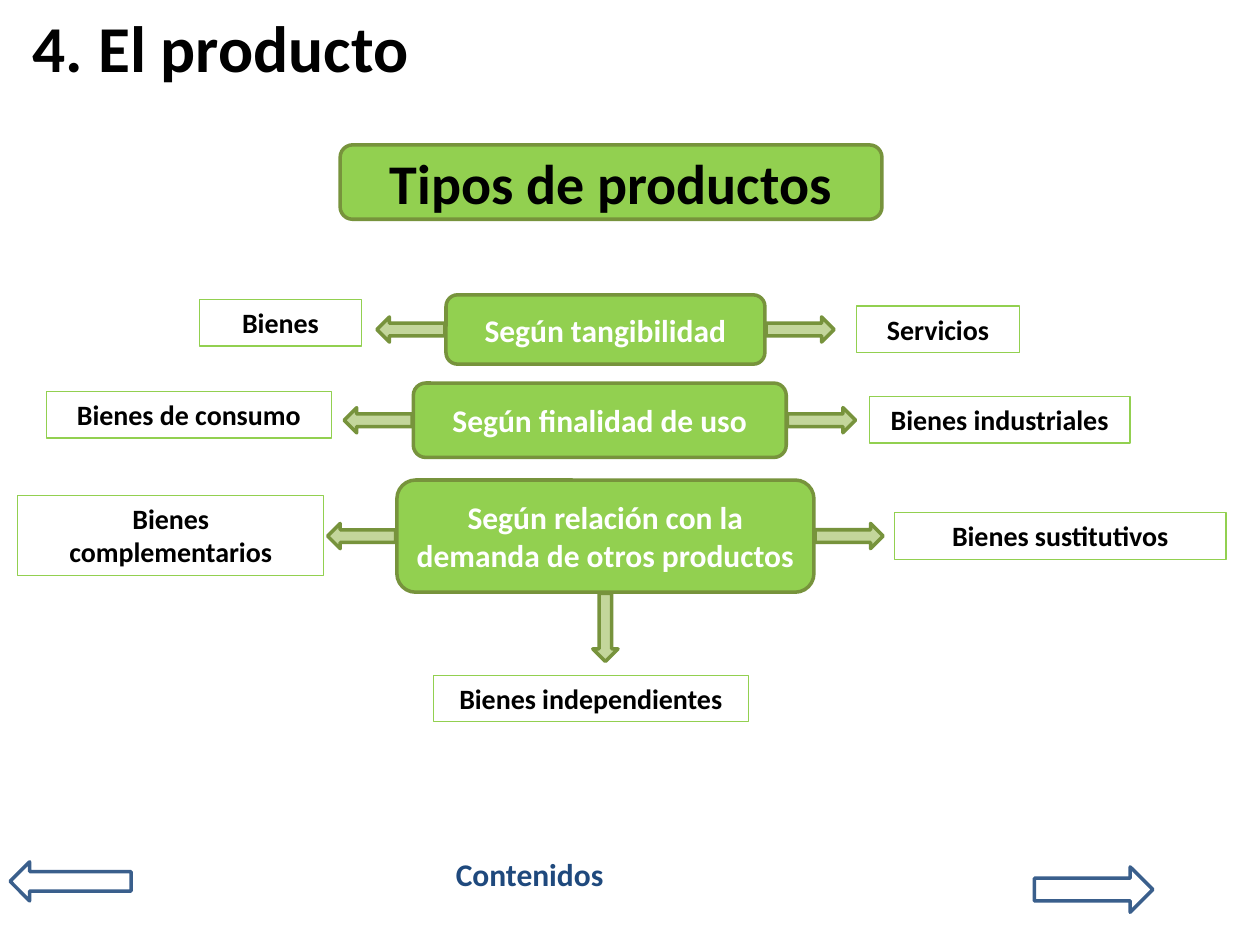
from pptx import Presentation
from pptx.dml.color import RGBColor
from pptx.enum.shapes import MSO_SHAPE
from pptx.enum.text import MSO_ANCHOR, PP_ALIGN
from pptx.util import Pt

FONT = "Calibri"
GREEN, DARK_GREEN, PALE_GREEN = "92D050", "77933C", "C3D69B"
BLUE, NAVY, BLACK, WHITE = "3A5F8C", "1F497D", "000000", "FFFFFF"
ARROW_LENGTH, ARROW_WIDTH, ARROW_GAP = 38.9, 14.4, 0.7

# Boxes are (left, top, width, height) in points.
TITLE = ("4. El producto", (11.5, 3.6, 648, 45.4))
HEADING = ("Tipos de productos", (194.4, 82.8, 309.6, 42.5))
FOOTER = ("Contenidos", (253.4, 485.3, 103.7, 28.8))
# Each criterion: text, box, directions of its arrows
CRITERIA = [
    ("Según tangibilidad", (254.9, 168.5, 182.2, 39.6), (0, 180)),
    ("Según finalidad de uso", (236.2, 218.9, 213.1, 42.5), (0, 180)),
    ("Según relación con la demanda de otros productos",
     (226.8, 274.3, 238.3, 64.1), (0, 90, 180)),
]
TYPES = [
    ("Bienes", (113.8, 171.2, 92.9, 26.6)),
    ("Servicios", (489.6, 174.8, 92.9, 26.6)),
    ("Bienes de consumo", (26.6, 223.7, 162.7, 26.6)),
    ("Bienes industriales", (496.8, 226.6, 149, 26.6)),
    ("Bienes complementarios", (10.1, 283, 175, 46.1)),
    ("Bienes sustitutivos", (511.2, 293, 189.4, 26.6)),
    ("Bienes independientes", (247.7, 385.9, 180, 26.6)),
]
NAVIGATION = [
    (MSO_SHAPE.LEFT_ARROW, (5.8, 492.5, 69.1, 22.3)),
    (MSO_SHAPE.RIGHT_ARROW, (591.1, 495.4, 67.7, 25.9)),
]


def rgb(hex_color):
    return RGBColor.from_string(hex_color)


def write(shape, text, size, color, align=PP_ALIGN.CENTER, anchor=MSO_ANCHOR.MIDDLE):
    tf = shape.text_frame
    tf.text = text
    tf.word_wrap = True
    tf.vertical_anchor = anchor
    p = tf.paragraphs[0]
    p.alignment = align
    font = p.runs[0].font
    font.name, font.size, font.bold = FONT, Pt(size), True
    font.color.rgb = rgb(color)


def add_box(slide, kind, box, line, fill=None, line_width=2):
    sp = slide.shapes.add_shape(kind, *map(Pt, box))
    sp.shadow.inherit = False
    if fill:
        sp.fill.solid()
        sp.fill.fore_color.rgb = rgb(fill)
    else:
        sp.fill.background()
    sp.line.color.rgb = rgb(line)
    sp.line.width = Pt(line_width)
    return sp


def add_process(slide, text, box, size, color):
    sp = add_box(slide, MSO_SHAPE.FLOWCHART_ALTERNATE_PROCESS, box, DARK_GREEN, GREEN)
    write(sp, text, size, color)


def add_arrow(slide, box, angle):
    """Put an arrow outside the box, centred on the side it points away from."""
    left, top, width, height = box
    dx, dy = {0: (1, 0), 90: (0, 1), 180: (-1, 0)}[angle]
    reach = ARROW_LENGTH / 2 + ARROW_GAP
    cx = left + width / 2 + dx * (width / 2 + reach)
    cy = top + height / 2 + dy * (height / 2 + reach)
    place = (cx - ARROW_LENGTH / 2, cy - ARROW_WIDTH / 2, ARROW_LENGTH, ARROW_WIDTH)
    sp = add_box(slide, MSO_SHAPE.RIGHT_ARROW, place, DARK_GREEN, PALE_GREEN)
    sp.rotation = angle


def main():
    prs = Presentation()
    prs.slide_width, prs.slide_height = Pt(720), Pt(540)
    s = prs.slides.add_slide(prs.slide_layouts[5])

    text, box = TITLE
    title = s.shapes.title
    title.left, title.top, title.width, title.height = map(Pt, box)
    write(title, text, 37.4, BLACK, PP_ALIGN.LEFT)

    text, box = FOOTER
    write(s.shapes.add_textbox(*map(Pt, box)), text, 18, NAVY,
          PP_ALIGN.LEFT, MSO_ANCHOR.TOP)

    for kind, box in NAVIGATION:
        add_box(s, kind, box, BLUE)

    add_process(s, *HEADING, 32, BLACK)
    for text, box, angles in CRITERIA:
        add_process(s, text, box, 18, WHITE)
        for angle in angles:
            add_arrow(s, box, angle)

    for text, box in TYPES:
        sp = add_box(s, MSO_SHAPE.RECTANGLE, box, GREEN, line_width=0.75)
        write(sp, text, 16, BLACK, anchor=MSO_ANCHOR.TOP)

    prs.save("out.pptx")


if __name__ == "__main__":
    main()
